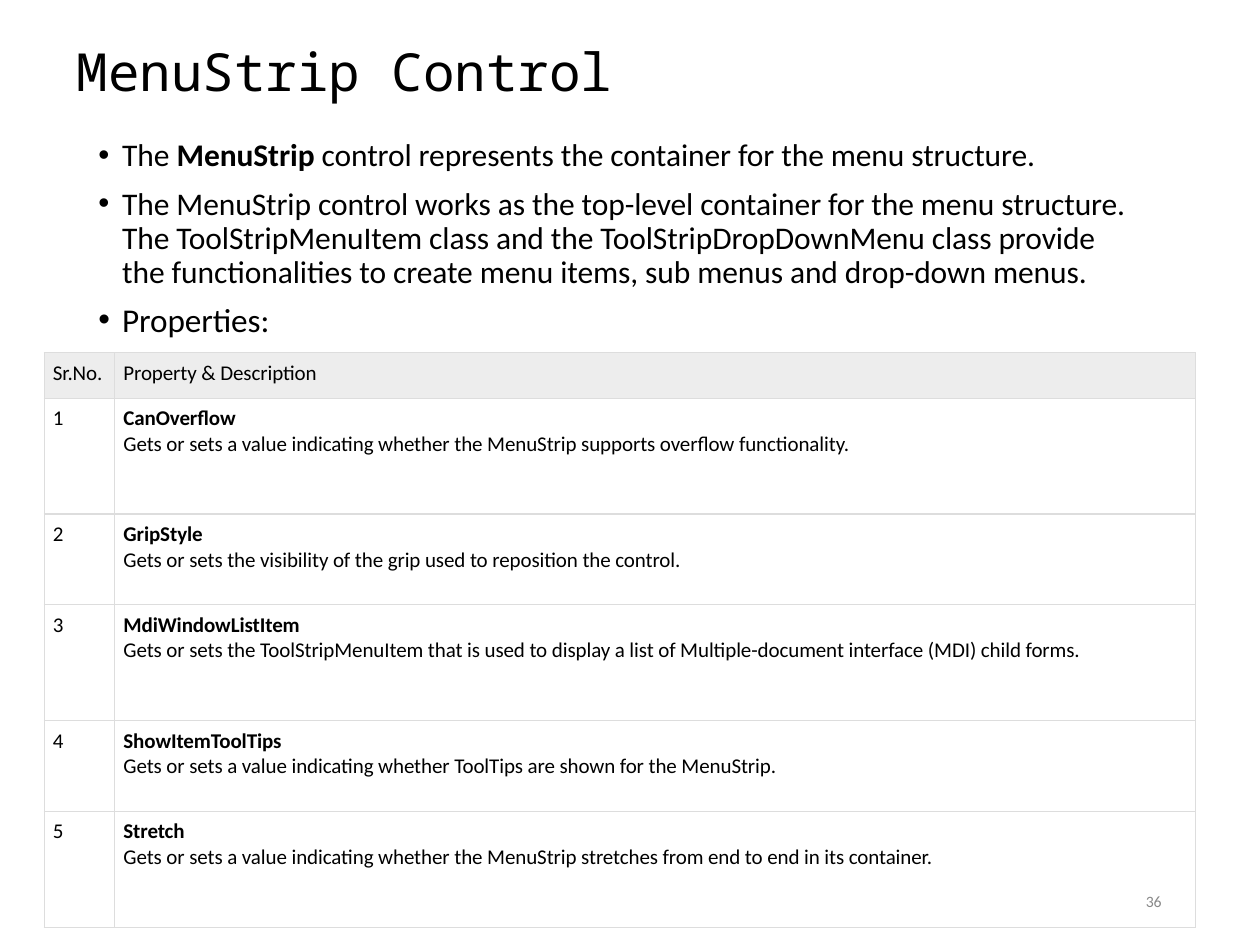
from lxml import etree
from pptx import Presentation
from pptx import util as u
from pptx.dml.color import RGBColor
from pptx.enum import text
from pptx.oxml.ns import qn

deck = Presentation()
deck.slide_width, deck.slide_height = u.Inches(10), u.Inches(7.5)
slide = deck.slides.add_slide(deck.slide_layouts[6])
W, H = deck.slide_width, deck.slide_height


def write(paragraph, words, size=12, bold=False, color="000000", font="Calibri", spacing=-5):
    """Add words to a paragraph; a newline is a line break."""
    for i, line in enumerate(words.split("\n")):
        if i:
            paragraph.add_line_break()
        run = paragraph.add_run()
        run.text = line
        run.font.size, run.font.bold, run.font.name = u.Pt(size), bold, font
        run.font.color.rgb = RGBColor.from_string(color)
        run.font._element.set("spc", str(spacing))


def text_area(left, top, width, height, inset_top):
    """Add a wrapping text box, placed by shares of the slide."""
    frame = slide.shapes.add_textbox(int(left * W), int(top * H), int(width * W), int(height * H)).text_frame
    frame.word_wrap = True
    frame.margin_left = frame.margin_right = frame.margin_bottom = 0
    frame.margin_top = u.Inches(inset_top)
    return frame


# Title
title = text_area(0.06, 0.04, 0.6, 0.07, 0.01)
write(title.paragraphs[0], "MenuStrip Control", size=30, font="Noto Sans Mono", spacing=0)
title.paragraphs[0]._p.get_or_add_pPr().set("marL", str(u.Inches(0.01)))

# Bullets: space before, line spacing, size, (words, bold) pieces
bullets = [
    (0, None, 18, [("The ", False), ("MenuStrip ", True),
                   ("control represents the container for the menu structure.", False)]),
    (8.4, 19.4, 18, [("The MenuStrip control works as the top-level container for the menu structure.\n"
                      "The ToolStripMenuItem class and the ToolStripDropDownMenu class provide\n"
                      "the functionalities to create menu items, sub menus and drop-down menus.", False)]),
    (5.5, None, 19, [("Properties:", False)]),
]
intro = text_area(0.077, 0.13, 0.825, 0.23, 0.1)
for i, (before, leading, size, pieces) in enumerate(bullets):
    point = intro.add_paragraph() if i else intro.paragraphs[0]
    layout = point._p.get_or_add_pPr()
    layout.set("marL", str(u.Inches(0.2)))
    layout.set("indent", str(u.Inches(-0.19)))
    etree.SubElement(layout, qn("a:buFont"), typeface="Arial")
    etree.SubElement(layout, qn("a:buChar"), char="•")
    if before:
        point.space_before = u.Pt(before)
    if leading:
        point.line_spacing = u.Pt(leading)
    for words, bold in pieces:
        write(point, words, size=size, bold=bold)

# Property table
properties = [
    ("CanOverflow", "Gets or sets a value indicating whether the MenuStrip supports overflow functionality."),
    ("GripStyle", "Gets or sets the visibility of the grip used to reposition the control."),
    ("MdiWindowListItem", "Gets or sets the ToolStripMenuItem that is used to display a list of "
                          "Multiple-document interface (MDI) child forms."),
    ("ShowItemToolTips", "Gets or sets a value indicating whether ToolTips are shown for the MenuStrip."),
    ("Stretch", "Gets or sets a value indicating whether the MenuStrip stretches from end to end in its container."),
]
rows = [("Sr.No.", "Property & Description", None)]
rows += [(str(n), name, about) for n, (name, about) in enumerate(properties, 1)]
row_heights = [0.36] + [0.92 if n % 2 else 0.72 for n in range(1, len(rows))]
col_widths = [0.56, 8.58]

grid = slide.shapes.add_table(len(rows), 2, u.Inches(0.35), u.Inches(2.8),
                              u.Inches(sum(col_widths)), u.Inches(sum(row_heights))).table
grid.first_row = grid.horz_banding = False
for column, width in zip(grid.columns, col_widths):
    column.width = u.Inches(width)

for r, (number, name, about) in enumerate(rows):
    grid.rows[r].height = u.Inches(row_heights[r])
    for c, words in enumerate((number, name)):
        cell = grid.cell(r, c)
        cell.margin_left, cell.margin_top = u.Inches(0.07), u.Inches(0.06)
        cell.margin_right = cell.margin_bottom = 0
        cell.vertical_anchor = text.MSO_ANCHOR.TOP
        for side in ("a:lnL", "a:lnR", "a:lnT", "a:lnB"):
            border = etree.SubElement(cell._tc.get_or_add_tcPr(), qn(side), w=str(u.Pt(0.75)))
            etree.SubElement(etree.SubElement(border, qn("a:solidFill")), qn("a:srgbClr"), val="DDDDDD")
        if about:
            cell.fill.background()
        else:
            cell.fill.solid()
            cell.fill.fore_color.rgb = RGBColor.from_string("EDEDED")
        write(cell.text_frame.paragraphs[0], words, bold=bool(about and c))
    if about:
        write(cell.text_frame.add_paragraph(), about)

# Page number, at the foot of the last cell
page = cell.text_frame.add_paragraph()
page.alignment = text.PP_ALIGN.RIGHT
page.space_before = u.Pt(13)
page._p.get_or_add_pPr().set("marR", str(u.Inches(0.27)))
write(page, "36", size=9, color="888888", spacing=0)

deck.save("out.pptx")
